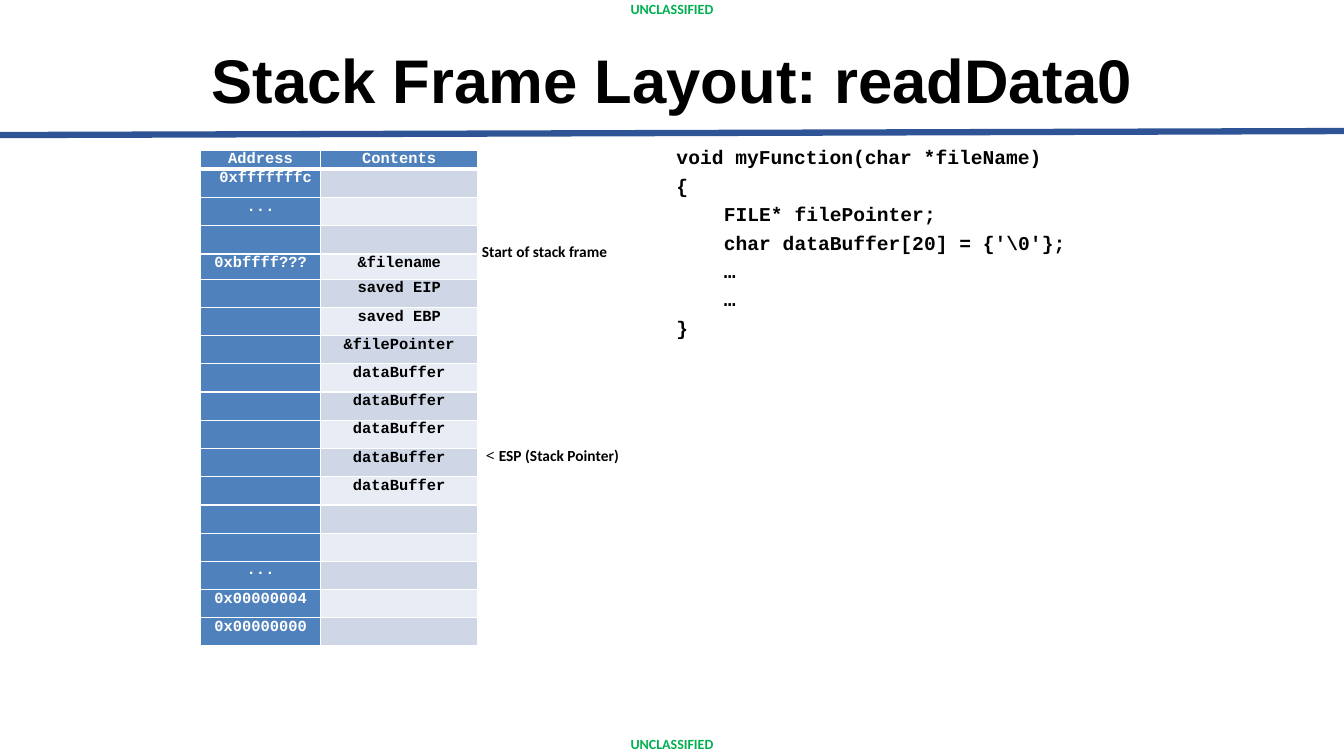
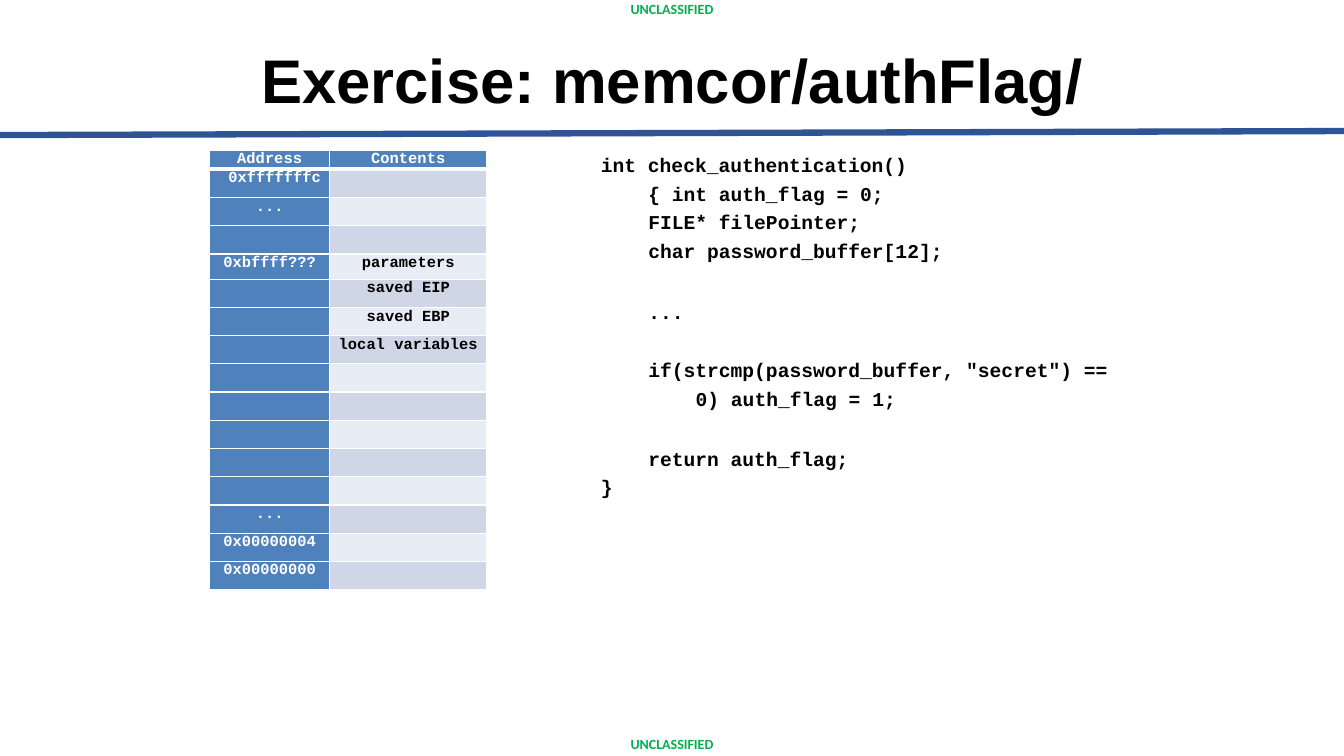
from dataclasses import dataclass

from lxml.etree import SubElement
from pptx import Presentation
from pptx.dml.color import RGBColor
from pptx.enum.shapes import MSO_CONNECTOR
from pptx.enum.text import MSO_ANCHOR, PP_ALIGN
from pptx.oxml.ns import qn
from pptx.util import Inches, Pt


@dataclass(frozen=True)
class Theme:
    black: str = "000000"
    white: str = "FFFFFF"
    rule: str = "2F5496"
    marking: str = "00B050"
    head: str = "4F81BD"
    bands: tuple = ("CFD7E7", "E8ECF4")
    sans: str = "Arial"
    label: str = "Calibri"
    symbol: str = "Noto Sans"
    mono: str = "Courier New"
    title_pt: int = 44
    code_pt: int = 14
    cell_pt: int = 11
    note_pt: int = 11
    marking_pt: int = 10


T = Theme()
WIDTH, HEIGHT = 13.33, 7.5
MARKING = "UNCLASSIFIED"
COLS = (1.19, 1.56)
HEAD_H, ROW_H, FRAME_H = 0.19, 0.28, 0.25
TABLE_TOP = 1.49
INDENT = 0.47
LINE_GAP = 3.5

HEADER = ("Address", "Contents")
TOP_ROWS = [("0xfffffffc", ""), ("...", ""), ("", "")]
SAVED = [("", "saved EIP"), ("", "saved EBP")]
BOTTOM_ROWS = [("...", ""), ("0x00000004", ""), ("0x00000000", "")]
FRAME_START = "0xbffff???"

SLIDES = [
    {
        "title": "Stack Frame Layout: readData0",
        "table_left": 1.99,
        "rows": TOP_ROWS + [(FRAME_START, "&filename")] + SAVED
        + [("", "&filePointer")] + [("", "dataBuffer")] * 5
        + [("", "")] * 2 + BOTTOM_ROWS,
        "notes": [
            (4.78, 2.4, [("Start of stack frame", T.label, True)]),
            (4.82, 4.43, [("< ", T.symbol, False),
                          ("ESP (Stack Pointer)", T.label, True)]),
        ],
        "code_at": (6.71, 1.44),
        "code": [
            (0, 0, "void myFunction(char *fileName)"),
            (0, 0, "{"),
            (1, 0, "FILE* filePointer;"),
            (1, 0, "char dataBuffer[20] = {'\\0'};"),
            (1, 0, "…"),
            (1, 0, "…"),
            (0, 0, "}"),
        ],
    },
    {
        "title": "Exercise: memcor/authFlag/",
        "table_left": 2.08,
        "rows": TOP_ROWS + [(FRAME_START, "parameters")] + SAVED
        + [("", "local variables")] + [("", "")] * 5 + BOTTOM_ROWS,
        "notes": [],
        "code_at": (5.96, 1.52),
        "code": [
            (0, 0, "int check_authentication()"),
            (1, 0, "{ int auth_flag = 0;"),
            (1, 0, "FILE* filePointer;"),
            (1, 0, "char password_buffer[12];"),
            (1, 23.5, "..."),
            (1, 21.5, "if(strcmp(password_buffer, \"secret\") =="),
            (2, 0, "0) auth_flag = 1;"),
            (1, 22.5, "return auth_flag;"),
            (0, 0, "}"),
        ],
    },
]


def style(font, name, size, color, bold=True):
    font.name, font.size, font.bold = name, Pt(size), bold
    font.color.rgb = RGBColor.from_string(color)


def add_text(s, left, top, width, height):
    tf = s.shapes.add_textbox(*map(Inches, (left, top, width, height))).text_frame
    tf.word_wrap = True
    tf.margin_left = tf.margin_right = tf.margin_top = tf.margin_bottom = 0
    return tf


def set_up_layout(layout, s):
    title = layout.placeholders[0]
    title.left, title.top, title.width, title.height = map(
        Inches, (0.92, 0.34, 11.5, 0.97))
    start = len(s.shapes)
    rule = s.shapes.add_connector(
        MSO_CONNECTOR.STRAIGHT, *map(Inches, (0, 1.34, WIDTH, 1.3)))
    rule.line.color.rgb = RGBColor.from_string(T.rule)
    rule.line.width = Pt(4.5)
    SubElement(rule._element.spPr, qn("a:effectLst"))
    for top in (0.03, HEIGHT - 0.17):
        tf = add_text(s, 0, top, WIDTH, 0.13)
        tf.vertical_anchor = MSO_ANCHOR.MIDDLE
        p = tf.paragraphs[0]
        p.text, p.alignment, p.line_spacing = MARKING, PP_ALIGN.CENTER, 0.9
        style(p.font, T.label, T.marking_pt, T.marking)
    for sp in list(s.shapes)[start:]:
        layout.shapes._spTree.append(sp._element)


def add_title(s, text):
    tf = s.shapes.title.text_frame
    tf.vertical_anchor = MSO_ANCHOR.MIDDLE
    p = tf.paragraphs[0]
    p.text, p.alignment, p.line_spacing = text, PP_ALIGN.CENTER, 0.9
    style(p.font, T.sans, T.title_pt, T.black)


def set_borders(cell, row):
    tc_pr = cell._tc.get_or_add_tcPr()
    widths = {"lnL": 1, "lnR": 1, "lnT": 3 if row == 1 else 1,
              "lnB": 3 if row == 0 else 1}
    for i, (side, width) in enumerate(widths.items()):
        ln = SubElement(tc_pr, qn(f"a:{side}"), w=str(Pt(width)))
        fill = SubElement(ln, qn("a:solidFill"))
        SubElement(fill, qn("a:srgbClr"), val=T.white)
        tc_pr.insert(i, ln)


def add_stack(s, left, rows):
    rows = [HEADER] + rows
    heights = [HEAD_H] + [FRAME_H if a == FRAME_START else ROW_H
                          for a, _ in rows[1:]]
    table = s.shapes.add_table(
        len(rows), len(COLS),
        *map(Inches, (left, TABLE_TOP, sum(COLS), sum(heights)))).table
    for column, width in zip(table.columns, COLS):
        column.width = Inches(width)
    for r, (texts, height) in enumerate(zip(rows, heights)):
        table.rows[r].height = Inches(height)
        for c, text in enumerate(texts):
            cell = table.cell(r, c)
            cell.margin_left = Inches(0.1 if (r, c) == (1, 0) else 0)
            cell.margin_right = cell.margin_top = cell.margin_bottom = 0
            is_head = r == 0 or c == 0
            cell.fill.solid()
            cell.fill.fore_color.rgb = RGBColor.from_string(
                T.head if is_head else T.bands[(r - 1) % 2])
            set_borders(cell, r)
            p = cell.text_frame.paragraphs[0]
            p.alignment, p.line_spacing = PP_ALIGN.CENTER, 1.04
            if text:
                p.text = text
            style(p.font, T.mono, T.cell_pt, T.white if is_head else T.black)


def add_note(s, left, top, runs):
    p = add_text(s, left, top, 1.6, 0.2).paragraphs[0]
    for text, name, bold in runs:
        r = p.add_run()
        r.text = text
        style(r.font, name, T.note_pt, T.black, bold)


def add_code(s, left, top, lines):
    tf = add_text(s, left, top, 5.4, len(lines) * 0.27)
    for i, (level, gap, text) in enumerate(lines):
        p = tf.add_paragraph() if i else tf.paragraphs[0]
        p.text = text
        p.space_before, p.space_after = Pt(gap), Pt(LINE_GAP)
        p._p.get_or_add_pPr().set("marL", str(Inches(level * INDENT)))
        style(p.font, T.mono, T.code_pt, T.black)


def main():
    prs = Presentation()
    prs.slide_width, prs.slide_height = Inches(WIDTH), Inches(HEIGHT)
    layout = prs.slide_layouts.get_by_name("Title Only")
    for i, data in enumerate(SLIDES):
        s = prs.slides.add_slide(layout)
        if i == 0:
            set_up_layout(layout, s)
        add_title(s, data["title"])
        add_stack(s, data["table_left"], data["rows"])
        for note in data["notes"]:
            add_note(s, *note)
        add_code(s, *data["code_at"], data["code"])
    prs.save("out.pptx")


if __name__ == "__main__":
    main()
